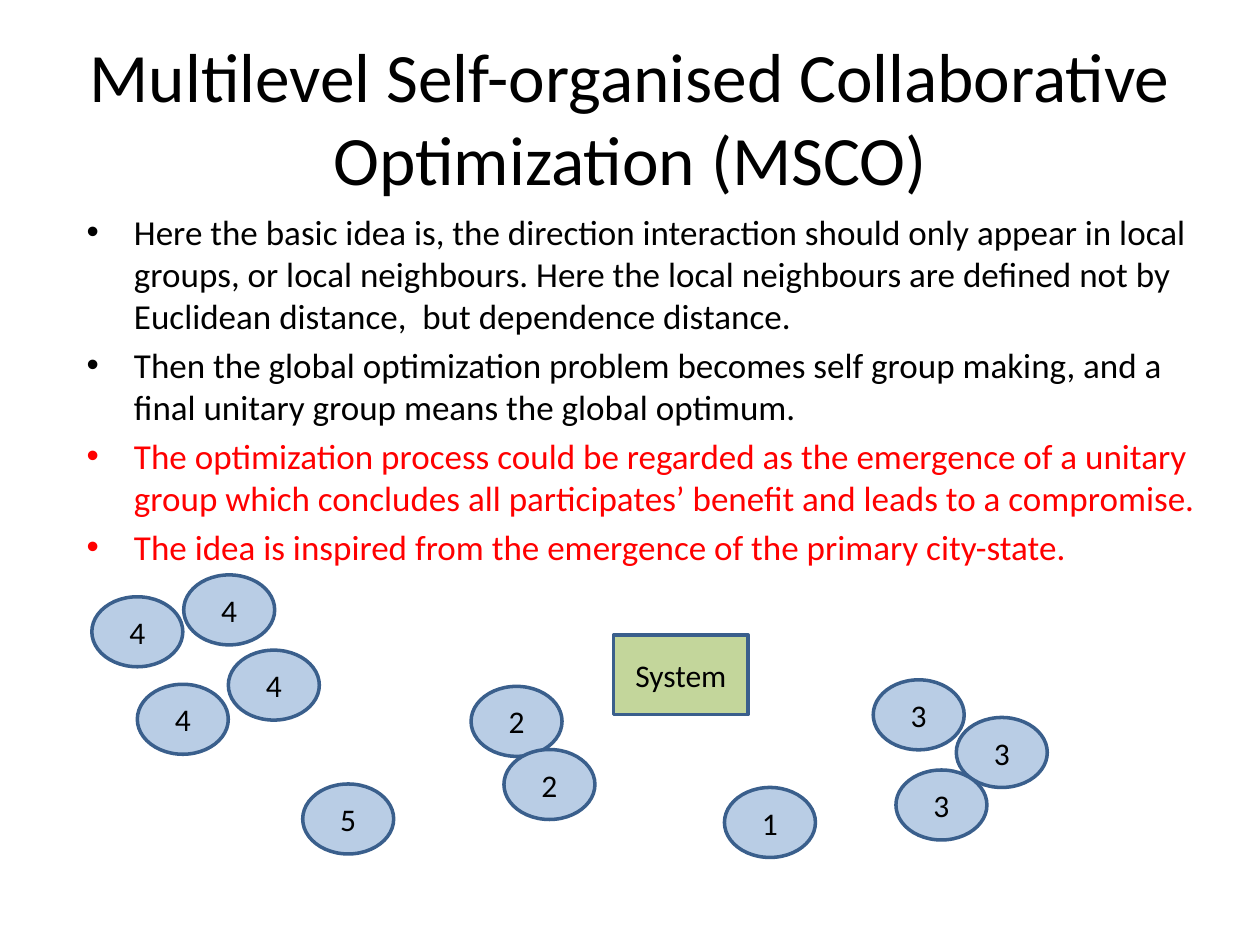
from dataclasses import dataclass

from lxml.etree import SubElement
from pptx import Presentation
from pptx.dml.color import RGBColor
from pptx.enum.shapes import MSO_SHAPE as Preset
from pptx.enum.text import MSO_ANCHOR as Anchor, PP_ALIGN as Align
from pptx.oxml.ns import qn
from pptx.shapes.autoshape import Shape
from pptx.slide import Slide
from pptx.text.text import TextFrame, _Paragraph as Paragraph
from pptx.util import Pt

BLACK = RGBColor(0x00, 0x00, 0x00)
RED = RGBColor(0xFF, 0x00, 0x00)
GREEN = RGBColor(0xC3, 0xD6, 0x9B)
LIGHT_BLUE = RGBColor(0xB9, 0xCD, 0xE5)
OUTLINE = RGBColor(0x3A, 0x5F, 0x8C)

FONT = "Calibri"
AGENT_WIDTH, AGENT_HEIGHT = 52, 40
BULLET_INDENT = 27

TITLE = "Multilevel Self-organised Collaborative Optimization (MSCO)"


@dataclass(frozen=True)
class Bullet:
    text: str
    color: RGBColor = BLACK


@dataclass(frozen=True)
class Agent:
    group: int
    left: float
    top: float


BULLETS = [
    Bullet(
        "Here the basic idea is, the direction interaction should only appear in local "
        "groups, or local neighbours. Here the local neighbours are defined not by "
        "Euclidean distance,  but dependence distance."
    ),
    Bullet(
        "Then the global optimization problem becomes self group making, and a final "
        "unitary group means the global optimum."
    ),
    Bullet(
        "The optimization process could be regarded as the emergence of a unitary group "
        "which concludes all participates’ benefit and leads to a compromise.",
        RED,
    ),
    Bullet("The idea is inspired from the emergence of the primary city-state.", RED),
]

AGENTS = [
    Agent(1, 414, 450),
    Agent(3, 499, 388.5),
    Agent(4, 105, 328.5),
    Agent(4, 52.5, 341),
    Agent(4, 78.5, 391),
    Agent(2, 269.2, 392.2),
    Agent(4, 130.5, 371.5),
    Agent(3, 546.5, 410),
    Agent(3, 512, 440),
    Agent(2, 288, 428.3),
    Agent(5, 173, 448),
]


def style_paragraph(paragraph: Paragraph, size: float, color: RGBColor = BLACK) -> None:
    paragraph.font.name = FONT
    paragraph.font.size = Pt(size)
    paragraph.font.color.rgb = color


def add_text_frame(
    slide: Slide, left: float, top: float, width: float, height: float
) -> TextFrame:
    box = slide.shapes.add_textbox(Pt(left), Pt(top), Pt(width), Pt(height))
    box.text_frame.word_wrap = True
    return box.text_frame


def add_title(slide: Slide) -> None:
    frame = add_text_frame(slide, 36, 21.6, 648, 90)
    frame.vertical_anchor = Anchor.MIDDLE
    paragraph = frame.paragraphs[0]
    paragraph.text = TITLE
    paragraph.alignment = Align.CENTER
    style_paragraph(paragraph, 39.6)


def add_bullets(slide: Slide, bullets: list[Bullet]) -> None:
    frame = add_text_frame(slide, 42.5, 116.6, 648, 356.4)
    for index, bullet in enumerate(bullets):
        paragraph = frame.add_paragraph() if index else frame.paragraphs[0]
        paragraph.text = bullet.text
        paragraph.space_before = Pt(4)
        style_paragraph(paragraph, 20, bullet.color)
        properties = paragraph._p.get_or_add_pPr()
        properties.set("marL", str(Pt(BULLET_INDENT)))
        properties.set("indent", str(-Pt(BULLET_INDENT)))
        bullet_font = SubElement(properties, qn("a:buFont"))
        bullet_font.set("typeface", "Arial")
        SubElement(properties, qn("a:buChar")).set("char", "•")
        properties.append(properties.find(qn("a:defRPr")))


def add_node(
    slide: Slide,
    preset: Preset,
    label: str,
    left: float,
    top: float,
    width: float,
    height: float,
    fill: RGBColor,
) -> Shape:
    shape = slide.shapes.add_shape(preset, Pt(left), Pt(top), Pt(width), Pt(height))
    shape.shadow.inherit = False
    shape.fill.solid()
    shape.fill.fore_color.rgb = fill
    shape.line.color.rgb = OUTLINE
    shape.line.width = Pt(2)
    shape.text_frame.vertical_anchor = Anchor.MIDDLE
    paragraph = shape.text_frame.paragraphs[0]
    paragraph.text = label
    paragraph.alignment = Align.CENTER
    style_paragraph(paragraph, 18)
    return shape


def main() -> None:
    presentation = Presentation()
    presentation.slide_width = Pt(720)
    presentation.slide_height = Pt(540)
    slide = presentation.slides.add_slide(presentation.slide_layouts[6])

    add_title(slide)
    add_bullets(slide, BULLETS)
    add_node(slide, Preset.RECTANGLE, "System", 350.6, 362.9, 77, 45.4, GREEN)
    for agent in AGENTS:
        add_node(
            slide, Preset.OVAL, str(agent.group), agent.left, agent.top,
            AGENT_WIDTH, AGENT_HEIGHT, LIGHT_BLUE,
        )

    presentation.save("out.pptx")


if __name__ == "__main__":
    main()
